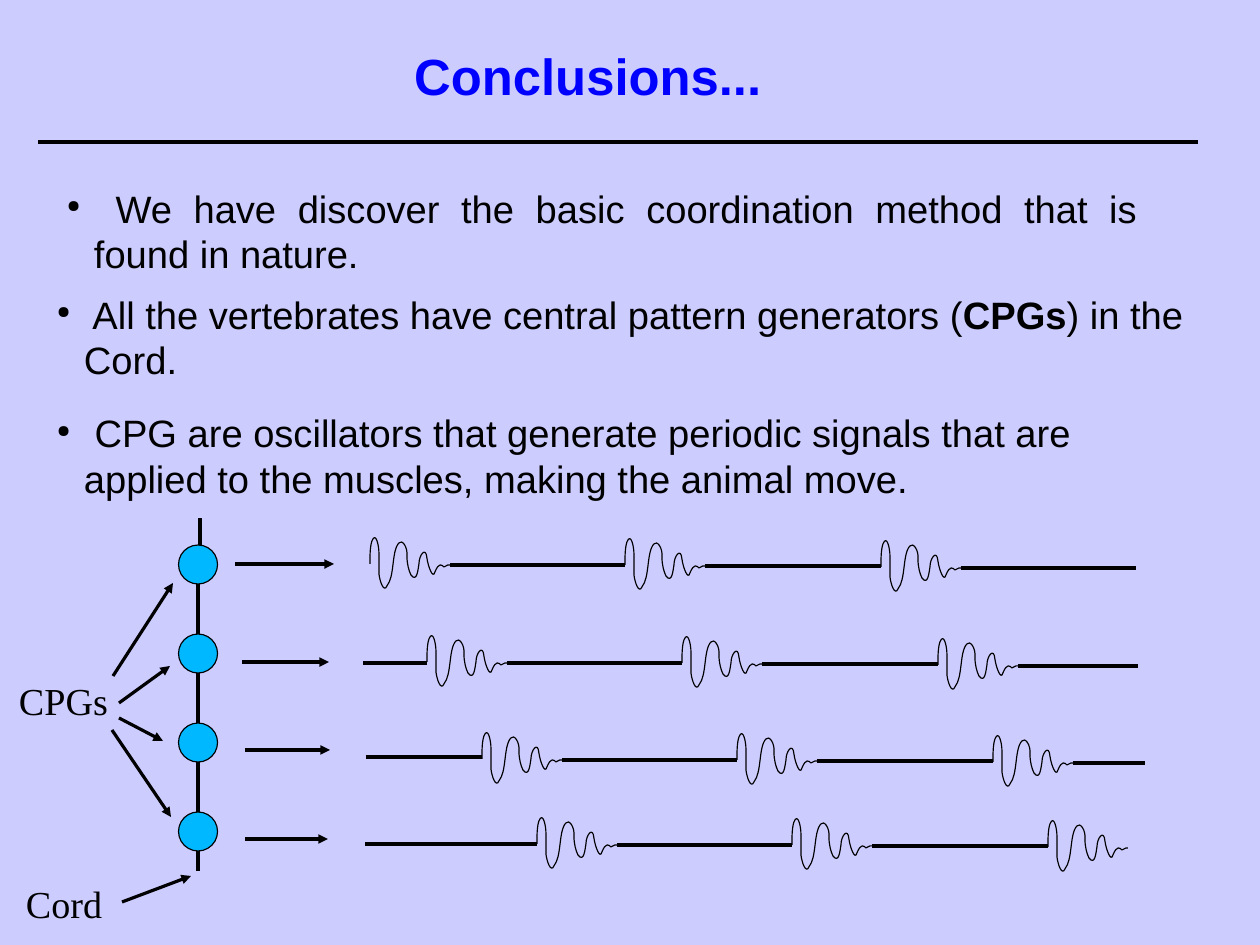
from lxml.etree import SubElement
from pptx import Presentation
from pptx.dml.color import RGBColor
from pptx.enum.shapes import MSO_CONNECTOR, MSO_SHAPE
from pptx.enum.text import MSO_ANCHOR, PP_ALIGN
from pptx.oxml.ns import qn
from pptx.util import Pt

PX = 8000  # EMU per px
BLACK = RGBColor(0x00, 0x00, 0x00)
BLUE = RGBColor(0x00, 0x00, 0xFF)
SKY = RGBColor(0x00, 0xB8, 0xFF)
LAVENDER = RGBColor(0xCC, 0xCC, 0xFF)

BULLET_INDENT = 27
CORD_X, CPG_SIZE, CPG_TOP, CPG_PITCH = 198, 39, 545, 89
BURST_WIDTH = 80
BURST_SHIFTS = [(0, 0), (255, 1), (511, 3)]
# Bezier segments of one burst, measured from its first point
BURST_CURVES = [
    [(0, -8), (0, -17), (2, -23)],
    [(6, -33), (9, -18), (9, -11)],
    [(9, -3), (9, 3), (9, 10)],
    [(10, 18), (14, 29), (17, 22)],
    [(21, 17), (22, 9), (23, 1)],
    [(24, -7), (25, -17), (29, -21)],
    [(32, -25), (38, -17), (37, -8)],
    [(37, 0), (39, 7), (41, 11)],
    [(47, 19), (48, 6), (49, 0)],
    [(49, -9), (56, -18), (57, -6)],
    [(58, 2), (63, 16), (65, 8)],
    [(69, -2), (72, 1), (74, 3)],
]
BURST_END = [(78, 1), (BURST_WIDTH, 1)]

# first burst (x, y), lead-in start or None, end of the last rest or None
SIGNALS = [
    ((370, 564), None, 1136),
    ((427, 662), (363, 663), 1138),
    ((482, 759), (366, 757), 1145),
    ((537, 844), (365, 844), None),
]
SIGNAL_ARROWS = [(235, 334, 564), (242, 329, 662), (245, 330, 750), (245, 328, 839)]
LABEL_ARROWS = [
    ((113, 676), (173, 583)),
    ((119, 703), (170, 666)),
    ((119, 718), (163, 741)),
    ((112, 730), (171, 817)),
    ((122, 902), (191, 876)),
]

DISCOVERY = [[(" We have discover the basic coordination method that is found in nature.", False)]]
CPG_FACTS = [
    [(" All the vertebrates have central pattern generators (", False),
     ("CPGs", True), (") in the Cord.", False)],
    [(" CPG are oscillators that generate periodic signals that are "
      "applied to the muscles, making the animal move.", False)],
]


def px(*lengths):
    return [round(length * PX) for length in lengths]


def style_outline(line):
    line.color.rgb = BLACK
    line.width = Pt(0)


def add_line(slide, start, end, arrow=False):
    line = slide.shapes.add_connector(MSO_CONNECTOR.STRAIGHT, *px(*start, *end))
    style_outline(line.line)
    if arrow:
        SubElement(line._element.spPr.find(qn("a:ln")), qn("a:tailEnd"), type="triangle")
    SubElement(line._element.spPr, qn("a:effectLst"))


def add_frame(slide, box, wrap=True, margins=(0, 0)):
    frame = slide.shapes.add_textbox(*px(*box)).text_frame
    frame.word_wrap = wrap
    frame.margin_left = frame.margin_right = margins[0] * PX
    frame.margin_top = frame.margin_bottom = margins[1] * PX
    return frame


def add_run(paragraph, text, font, size, color=BLACK, bold=False):
    run = paragraph.add_run()
    run.text = text
    run.font.name = font
    run.font.size = Pt(size)
    run.font.bold = bold
    run.font.color.rgb = color


def add_title(slide, text):
    frame = add_frame(slide, (102, 0, 972, 145), margins=(11, 6))
    frame.vertical_anchor = MSO_ANCHOR.MIDDLE
    heading = frame.paragraphs[0]
    heading.alignment = PP_ALIGN.CENTER
    heading.line_spacing = Pt(42)
    add_run(heading, text, "Arial", 32, BLUE, True)


def add_bullet(paragraph):
    props = paragraph._p.get_or_add_pPr()
    props.set("marL", str(BULLET_INDENT * PX))
    props.set("indent", str(-BULLET_INDENT * PX))
    color = SubElement(props, qn("a:buClr"))
    SubElement(color, qn("a:srgbClr"), val=str(BLACK))
    SubElement(props, qn("a:buSzPct"), val="45000")
    SubElement(props, qn("a:buChar"), char="●")


def add_bullets(slide, box, items, alignment, gap):
    frame = add_frame(slide, box)
    for index, runs in enumerate(items):
        item = frame.add_paragraph() if index else frame.paragraphs[0]
        add_bullet(item)
        item.alignment = alignment
        item.space_before = Pt(gap if index else 0)
        item.space_after = Pt(gap)
        for text, bold in runs:
            add_run(item, text, "Arial", 24, bold=bold)


def add_label(slide, box, text):
    label = add_frame(slide, box, wrap=False).paragraphs[0]
    add_run(label, text, "Times New Roman", 24)


def add_cpg(slide, top):
    left = CORD_X - CPG_SIZE / 2
    cpg = slide.shapes.add_shape(MSO_SHAPE.OVAL, *px(left, top, CPG_SIZE, CPG_SIZE))
    cpg.shadow.inherit = False
    cpg.fill.solid()
    cpg.fill.fore_color.rgb = SKY
    style_outline(cpg.line)


def bend_segments(freeform, curve_count):
    """Turn each three leading line segments into one cubic Bezier."""
    segments = list(freeform._element.iter(qn("a:lnTo")))
    for first in range(0, 3 * curve_count, 3):
        start, *others = segments[first:first + 3]
        start.tag = qn("a:cubicBezTo")
        for other in others:
            start.append(other[0])
            other.getparent().remove(other)


def add_burst(slide, x, y):
    offsets = sum(BURST_CURVES, []) + BURST_END
    builder = slide.shapes.build_freeform(x, y, scale=PX)
    builder.add_line_segments([(x + dx, y + dy) for dx, dy in offsets], close=False)
    burst = builder.convert_to_shape()
    bend_segments(burst, len(BURST_CURVES))
    burst.shadow.inherit = False
    burst.fill.background()
    style_outline(burst.line)


def add_signal(slide, first, lead, end):
    bursts = [(first[0] + dx, first[1] + dy) for dx, dy in BURST_SHIFTS]
    if lead:
        add_line(slide, lead, (first[0], lead[1]))
    rest_ends = [x for x, _ in bursts[1:]] + [end]
    for (x, y), rest_end in zip(bursts, rest_ends):
        add_burst(slide, x, y)
        if rest_end:
            add_line(slide, (x + BURST_WIDTH, y + 1), (rest_end, y + 1))


def add_cord(slide):
    tops = [CPG_TOP + CPG_PITCH * i for i in range(4)]
    for top in tops:
        add_cpg(slide, top)
    for top, next_top in zip(tops, tops[1:]):
        add_line(slide, (CORD_X, top + CPG_SIZE), (CORD_X, next_top))
    add_line(slide, (200, CPG_TOP), (200, 518))
    add_line(slide, (CORD_X, tops[-1] + CPG_SIZE), (CORD_X, 871))


def main():
    deck = Presentation()
    deck.slide_width, deck.slide_height = px(1260, 945)
    slide = deck.slides.add_slide(deck.slide_layouts[6])
    slide.background.fill.solid()
    slide.background.fill.fore_color.rgb = LAVENDER

    add_line(slide, (38, 142), (1198, 142))
    add_title(slide, "Conclusions...")
    add_bullets(slide, (67, 185, 1070, 85), DISCOVERY, PP_ALIGN.JUSTIFY, 5.7)
    add_bullets(slide, (57, 291, 1136, 197), CPG_FACTS, PP_ALIGN.LEFT, 8.5)

    add_cord(slide)
    add_label(slide, (19, 677, 97, 53), "CPGs")
    add_label(slide, (26, 880, 88, 53), "Cord")
    for start, end in LABEL_ARROWS:
        add_line(slide, start, end, arrow=True)
    for left, right, y in SIGNAL_ARROWS:
        add_line(slide, (left, y), (right, y), arrow=True)
    for first, lead, end in SIGNALS:
        add_signal(slide, first, lead, end)

    deck.save("out.pptx")


if __name__ == "__main__":
    main()
